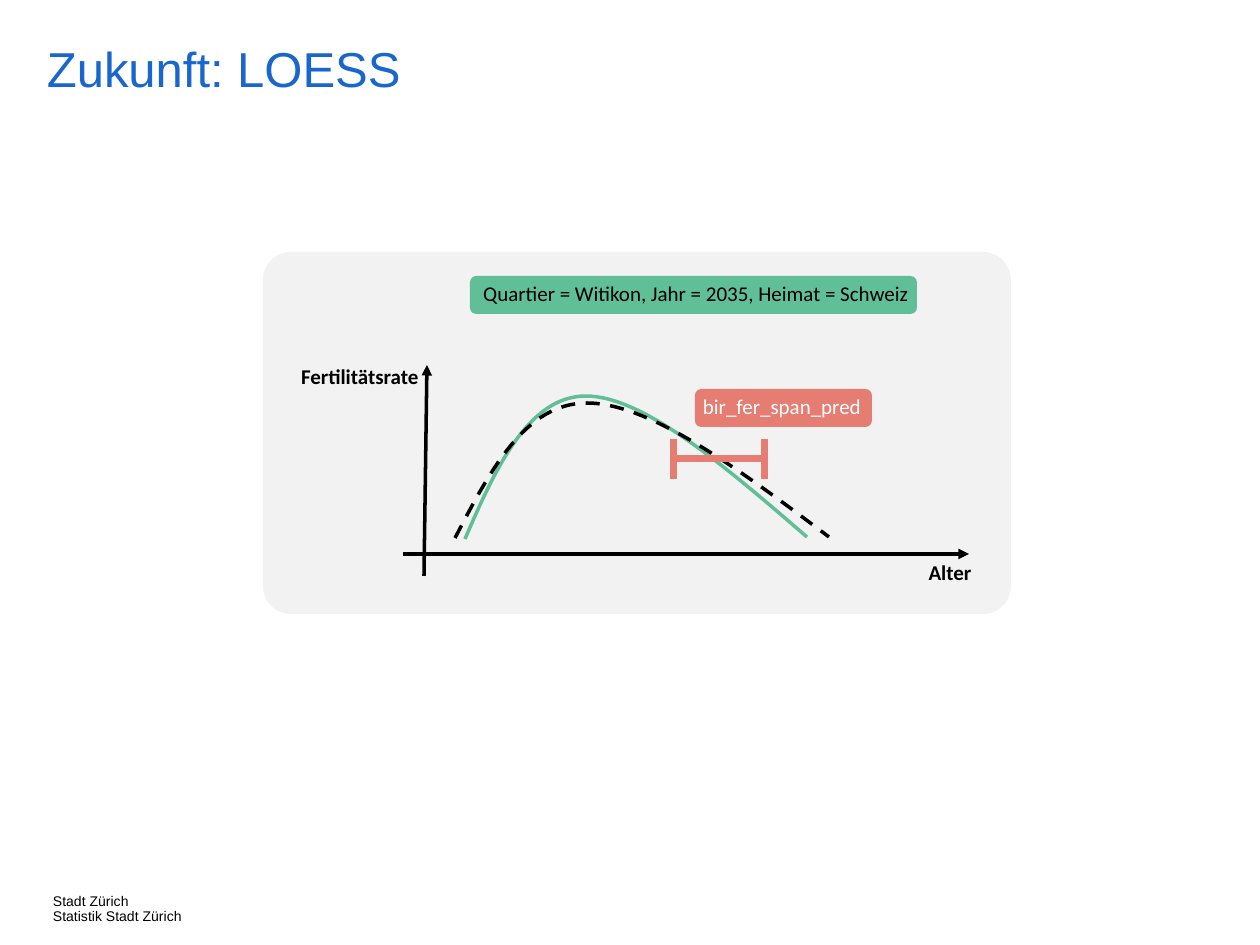
from lxml.etree import SubElement
from pptx import Presentation
from pptx.dml.color import RGBColor
from pptx.enum.dml import MSO_LINE_DASH_STYLE as Dash
from pptx.enum.shapes import MSO_CONNECTOR as Connector, MSO_SHAPE as Shape
from pptx.enum.text import MSO_AUTO_SIZE as AutoSize, PP_ALIGN as Align
from pptx.oxml.ns import qn
from pptx.util import Pt

PIXEL = 914400 // 126
BLACK = RGBColor(0x00, 0x00, 0x00)
WHITE = RGBColor(0xFF, 0xFF, 0xFF)
BLUE = RGBColor(0x19, 0x66, 0xCC)
GREEN = RGBColor(0x60, 0xBF, 0x97)
RED = RGBColor(0xE6, 0x7D, 0x73)
GREY = RGBColor(0xF2, 0xF2, 0xF2)

LABEL = {"name": "Calibri", "size": Pt(12)}
AXIS_LABEL = {**LABEL, "bold": True}
HEADING = {"name": "Arial", "size": Pt(28)}
FOOTER = {"name": "Arial", "size": Pt(8)}
NO_INSETS = {"margin_left": 0, "margin_top": 0, "margin_right": 0, "margin_bottom": 0}
GROWING = {"auto_size": AutoSize.SHAPE_TO_FIT_TEXT}


def px(*lengths):
    return [length * PIXEL for length in lengths]


def apply(target, values):
    for name, value in values.items():
        setattr(target, name, value)


def add_text(parent, box, lines, font, color, align=Align.LEFT, spacing=1.0, wrap=True, frame_format=GROWING):
    frame = parent.shapes.add_textbox(*px(*box)).text_frame
    apply(frame, {"word_wrap": wrap, **frame_format})
    for index, line in enumerate(lines):
        paragraph = frame.add_paragraph() if index else frame.paragraphs[0]
        apply(paragraph, {"alignment": align, "line_spacing": spacing})
        run = paragraph.add_run()
        run.text = line
        apply(run.font, font)
        run.font.color.rgb = color


def add_panel(parent, box, color, corner=0.16667):
    panel = parent.shapes.add_shape(Shape.ROUNDED_RECTANGLE, *px(*box))
    panel.adjustments[0] = corner
    panel.shadow.inherit = False
    panel.fill.solid()
    panel.fill.fore_color.rgb = color
    panel.line.fill.background()


def add_line(parent, ends, color, width, arrow=False):
    line = parent.shapes.add_connector(Connector.STRAIGHT, *px(*ends))
    line.line.color.rgb = color
    line.line.width = Pt(width)
    if arrow:
        SubElement(line.line._get_or_add_ln(), qn("a:tailEnd"), type="triangle")
    SubElement(line._element.spPr, qn("a:effectLst"))


def bend_segments(curve):
    outline = next(curve._element.iter(qn("a:path")))
    segments = outline.findall(qn("a:lnTo"))
    for start in range(0, len(segments), 3):
        bend = SubElement(outline, qn("a:cubicBezTo"))
        for segment in segments[start:start + 3]:
            bend.append(segment[0])
            outline.remove(segment)


def add_curve(parent, points, color, dash=None):
    builder = parent.shapes.build_freeform(*px(*points[0]))
    builder.add_line_segments([tuple(px(*point)) for point in points[1:]], close=False)
    curve = builder.convert_to_shape()
    bend_segments(curve)
    curve.shadow.inherit = False
    curve.fill.background()
    curve.line.color.rgb = color
    apply(curve.line, {"width": Pt(2), "dash_style": dash})


def add_axes(slide):
    add_line(slide, (403, 554, 969, 554), BLACK, 2, arrow=True)
    add_text(slide, (872, 553, 156, 38), ["Alter"], AXIS_LABEL, BLACK, Align.CENTER)
    add_line(slide, (424, 576, 427, 365), BLACK, 2, arrow=True)
    add_text(slide, (275, 357, 156, 38), ["Fertilitätsrate"], AXIS_LABEL, BLACK, Align.RIGHT)


def add_span(parent, left, right, middle):
    add_line(parent, (left, middle, right, middle), RED, 4)
    for end in (left, right):
        add_line(parent, (end, middle - 20, end, middle + 20), RED, 4)


def main():
    deck = Presentation()
    apply(deck, {"slide_width": 1260 * PIXEL, "slide_height": 945 * PIXEL})
    slide = deck.slides.add_slide(deck.slide_layouts[6])

    add_text(slide, (53, 894, 165, 25), ["Stadt Zürich", "Statistik Stadt Zürich"],
             FOOTER, BLACK, spacing=0.9, wrap=False, frame_format=NO_INSETS)
    add_text(slide, (47, 45, 1058, 81), ["Zukunft: LOESS"],
             HEADING, BLUE, spacing=0.9, frame_format=NO_INSETS)

    add_panel(slide, (263, 252, 748, 362), GREY, 0.077)
    add_axes(slide)
    add_curve(slide, [(465, 539), (496, 467), (529, 396), (586, 396),
                      (643, 396), (725, 466), (807, 537)], GREEN)
    add_curve(slide, [(455, 538), (490, 471), (525, 403), (587, 403),
                      (650, 403), (740, 470), (829, 537)], BLACK, Dash.DASH)

    add_panel(slide, (470, 276, 447, 38), GREEN)
    add_text(slide, (464, 274, 464, 38), ["Quartier = Witikon, Jahr = 2035, Heimat = Schweiz"],
             LABEL, BLACK, Align.CENTER)

    parameter = slide.shapes.add_group_shape()
    add_panel(parameter, (695, 389, 177, 38), RED)
    add_text(parameter, (688, 387, 188, 38), ["bir_fer_span_pred"], LABEL, WHITE, Align.CENTER)
    add_span(slide.shapes.add_group_shape(), 674, 765, 459)

    deck.save("out.pptx")


main()
